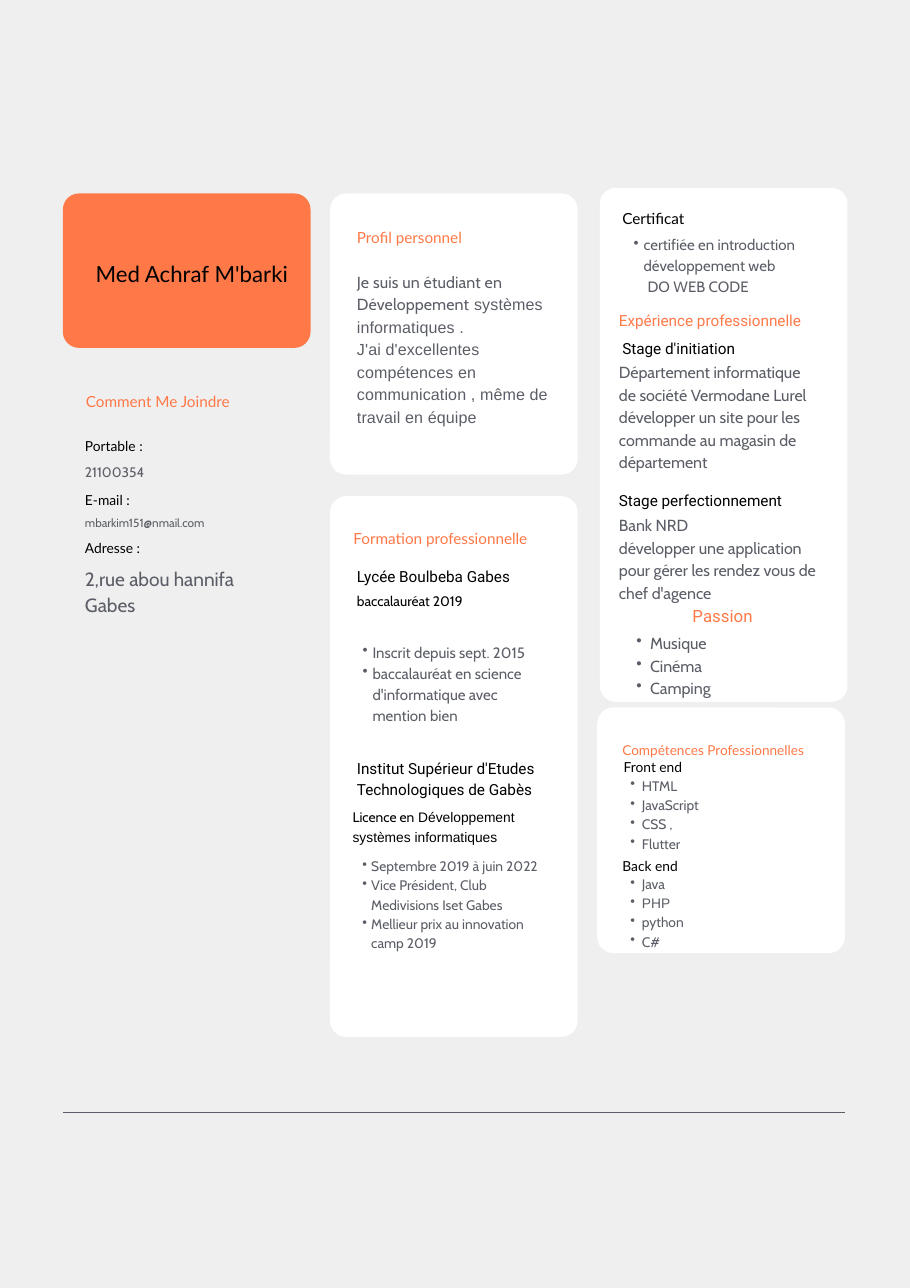
import pptx
import pptx.dml.color
import pptx.enum.shapes
import pptx.enum.text
import pptx.util
from lxml import etree
from pptx.util import Cm

ORANGE, GREY, BLACK, WHITE = "FF7948", "5B5E66", "000000", "FFFFFF"
CARD_WIDTH = 5.71
CORNER_RADIUS = 0.37
TEXT_WIDTH = 4.62
LINE_RATIO = 1.4
CENTER = pptx.enum.text.PP_ALIGN.CENTER


def color(value):
    return pptx.dml.color.RGBColor.from_string(value)


def add_card(slide, box, fill=WHITE):
    shape = slide.shapes.add_shape(
        pptx.enum.shapes.MSO_SHAPE.ROUNDED_RECTANGLE, *[Cm(length) for length in box])
    shape.adjustments[0] = CORNER_RADIUS / min(box[2:])
    shape.shadow.inherit = False
    shape.fill.solid()
    shape.fill.fore_color.rgb = color(fill)
    shape.line.fill.background()


def write_paragraph(paragraph, runs, size, ink, align=None, indent=0, bullet=False, tracking=0):
    paragraph.alignment = align
    paragraph.line_spacing = pptx.util.Pt(round(size * LINE_RATIO, 1))
    properties = paragraph._p.get_or_add_pPr()
    if indent:
        properties.set("marL", str(Cm(indent)))
    if bullet:
        properties.set("indent", str(-Cm(indent / 2)))
        mark = etree.SubElement(properties, pptx.oxml.ns.qn("a:buChar"))
        mark.set("char", "•")
    for text, font in runs:
        run = paragraph.add_run()
        run.text = text
        run.font.name = font
        run.font.size = pptx.util.Pt(size)
        run.font.color.rgb = color(ink)
        if tracking:
            run._r.get_or_add_rPr().set("spc", str(tracking))


def add_text(slide, box, left, top, paragraphs, size, ink=GREY, font="Cabin",
             width=TEXT_WIDTH, **layout):
    line_height = size * LINE_RATIO * 2.54 / 72
    text_box = slide.shapes.add_textbox(
        Cm(box[0] + left), Cm(box[1] + top), Cm(width), Cm(line_height * len(paragraphs)))
    frame = text_box.text_frame
    frame.word_wrap = True
    frame.margin_left = frame.margin_right = frame.margin_top = frame.margin_bottom = 0
    for index, content in enumerate(paragraphs):
        paragraph = frame.add_paragraph() if index else frame.paragraphs[0]
        runs = [(content, font)] if isinstance(content, str) else content
        write_paragraph(paragraph, runs, size, ink, **layout)
    return frame


def add_list(slide, box, left, top, items, size, indent):
    return add_text(slide, box, left, top, items, size, indent=indent, bullet=True)


def add_heading(slide, box, left, top, text, font="Lato", size=10, ink=ORANGE, **layout):
    add_text(slide, box, left, top, [text], size, ink, font, **layout)


def add_name(slide, box):
    add_card(slide, box, ORANGE)
    add_heading(slide, box, 0.66, 1.43, "Med Achraf M'barki", size=14.5, ink=BLACK, align=CENTER)


def add_contact(slide, box):
    add_heading(slide, box, 0.02, 0, "Comment Me Joindre")
    entries = [
        ("Portable :", 1.06, "21100354", 1.65, 9),
        ("E-mail :", 2.31, "mbarkim151@nmail.com", 2.87, 7.7),
        ("Adresse :", 3.4, "2,rue abou hannifa Gabes", 4.01, 12.5),
    ]
    for label, label_top, value, value_top, size in entries:
        add_heading(slide, box, 0, label_top, label, size=9, ink=BLACK)
        add_text(slide, box, 0, value_top, [value], size)


def add_profile(slide, box):
    add_card(slide, box)
    add_heading(slide, box, 0.62, 0.72, "Profil personnel")
    add_text(slide, box, 0.62, 1.74, [
        [("Je suis un étudiant en Développement", "Cabin"), (" systèmes informatiques .", "Arial")],
        [("J'ai d'excellentes compétences en communication , même de travail en équipe", "Arial")],
    ], 10.5, tracking=10)


def add_education(slide, box):
    add_card(slide, box)
    add_heading(slide, box, 0.54, 0.7, "Formation professionnelle")
    add_heading(slide, box, 0.62, 1.56, "Lycée Boulbeba Gabes", "Roboto", ink=BLACK)
    add_heading(slide, box, 0.62, 2.15, "baccalauréat 2019", "Cabin", 9, BLACK)
    add_list(slide, box, 0.52, 3.32, [
        "Inscrit depuis sept. 2015",
        "baccalauréat en science d'informatique avec mention bien",
    ], 9.8, 0.46)
    add_heading(slide, box, 0.62, 5.98, "Institut Supérieur d'Etudes Technologiques de Gabès",
                "Roboto", ink=BLACK)
    add_text(slide, box, 0.52, 7.15, [
        [("Licence en", "Cabin"), (" Développement systèmes informatiques", "Arial")],
    ], 9, BLACK, width=4.39)
    add_list(slide, box, 0.54, 8.27, [
        "Septembre 2019 à juin 2022",
        "Vice Président, Club Medivisions Iset Gabes",
        "Mellieur prix au innovation camp 2019",
    ], 9, 0.41)


def add_experience(slide, box):
    add_card(slide, box)
    add_heading(slide, box, 0.52, 0.42, "Certificat", ink=BLACK)
    certificate = add_list(slide, box, 0.55, 1.03,
                           ["certifiée en introduction développement web"], 9.8, 0.46)
    write_paragraph(certificate.add_paragraph(), [("DO WEB CODE", "Cabin")], 9.8, GREY, indent=0.55)
    add_heading(slide, box, 0.44, 2.78, "Expérience professionnelle", "Roboto")
    add_heading(slide, box, 0.52, 3.42, "Stage d'initiation", "Roboto", ink=BLACK)
    add_text(slide, box, 0.44, 3.95, [
        "Département informatique de société Vermodane Lurel",
        "développer un site pour les commande au magasin de département",
    ], 10.5)
    add_heading(slide, box, 0.44, 6.92, "Stage perfectionnement", "Roboto", ink=BLACK)
    add_text(slide, box, 0.44, 7.48, [
        "Bank NRD",
        "développer une application pour gérer les rendez vous de chef d'agence",
    ], 10.5)
    add_heading(slide, box, 0.52, 9.56, "Passion", "Roboto", 11, align=CENTER)
    add_list(slide, box, 0.52, 10.2, ["Musique", "Cinéma", "Camping"], 10.5, 0.64)


def add_skills(slide, box):
    add_card(slide, box)
    add_heading(slide, box, 0.58, 0.73, "Compétences Professionnelles", size=8.9)
    add_heading(slide, box, 0.61, 1.11, "Front end", size=9, ink=BLACK)
    add_list(slide, box, 0.5, 1.55, ["HTML", "JavaScript", "CSS ,", "Flutter"], 9, 0.53)
    add_heading(slide, box, 0.58, 3.4, "Back end", size=9, ink=BLACK)
    add_list(slide, box, 0.5, 3.81, ["Java", [("PHP", "Arial")], "python", "C#"], 9, 0.53)


def add_footer_rule(slide, left, top, width):
    rule = slide.shapes.add_connector(
        pptx.enum.shapes.MSO_CONNECTOR.STRAIGHT, Cm(left), Cm(top), Cm(left + width), Cm(top))
    rule.line.color.rgb = color(GREY)
    rule.line.width = pptx.util.Pt(1)
    etree.SubElement(rule._element.spPr, pptx.oxml.ns.qn("a:effectLst"))


def main():
    presentation = pptx.Presentation()
    presentation.slide_width = Cm(20.98)
    presentation.slide_height = Cm(29.69)
    slide = presentation.slides.add_slide(presentation.slide_layouts[6])
    slide.background.fill.solid()
    slide.background.fill.fore_color.rgb = color("EFEFEF")
    add_footer_rule(slide, 1.45, 25.64, 18.03)
    add_name(slide, (1.45, 4.46, CARD_WIDTH, 3.56))
    add_contact(slide, (1.96, 8.97, TEXT_WIDTH, 5.2))
    add_profile(slide, (7.61, 4.46, CARD_WIDTH, 6.48))
    add_education(slide, (7.61, 11.44, CARD_WIDTH, 12.46))
    add_skills(slide, (13.77, 16.31, CARD_WIDTH, 5.66))
    add_experience(slide, (13.83, 4.33, CARD_WIDTH, 11.85))
    presentation.save("out.pptx")


if __name__ == "__main__":
    main()
